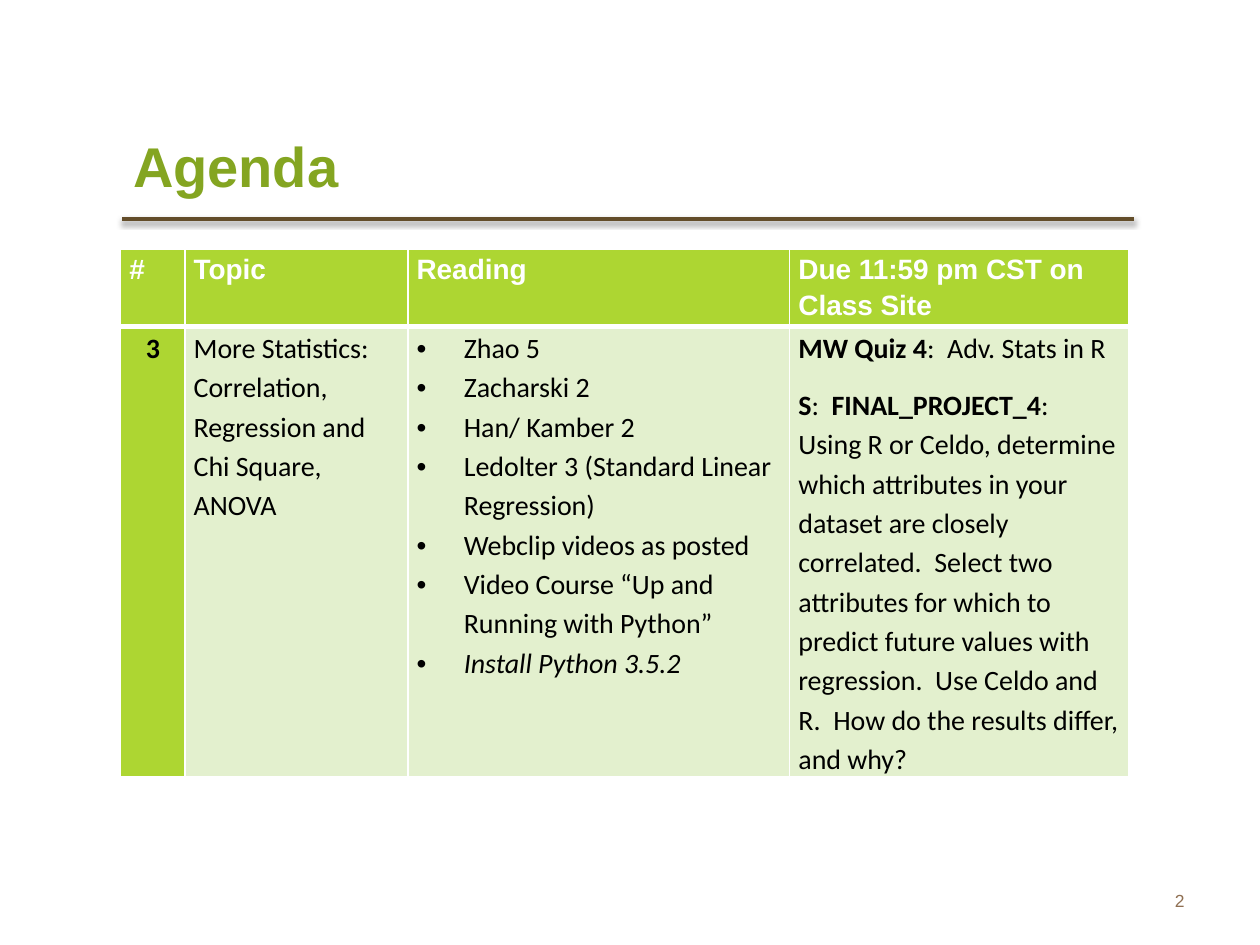
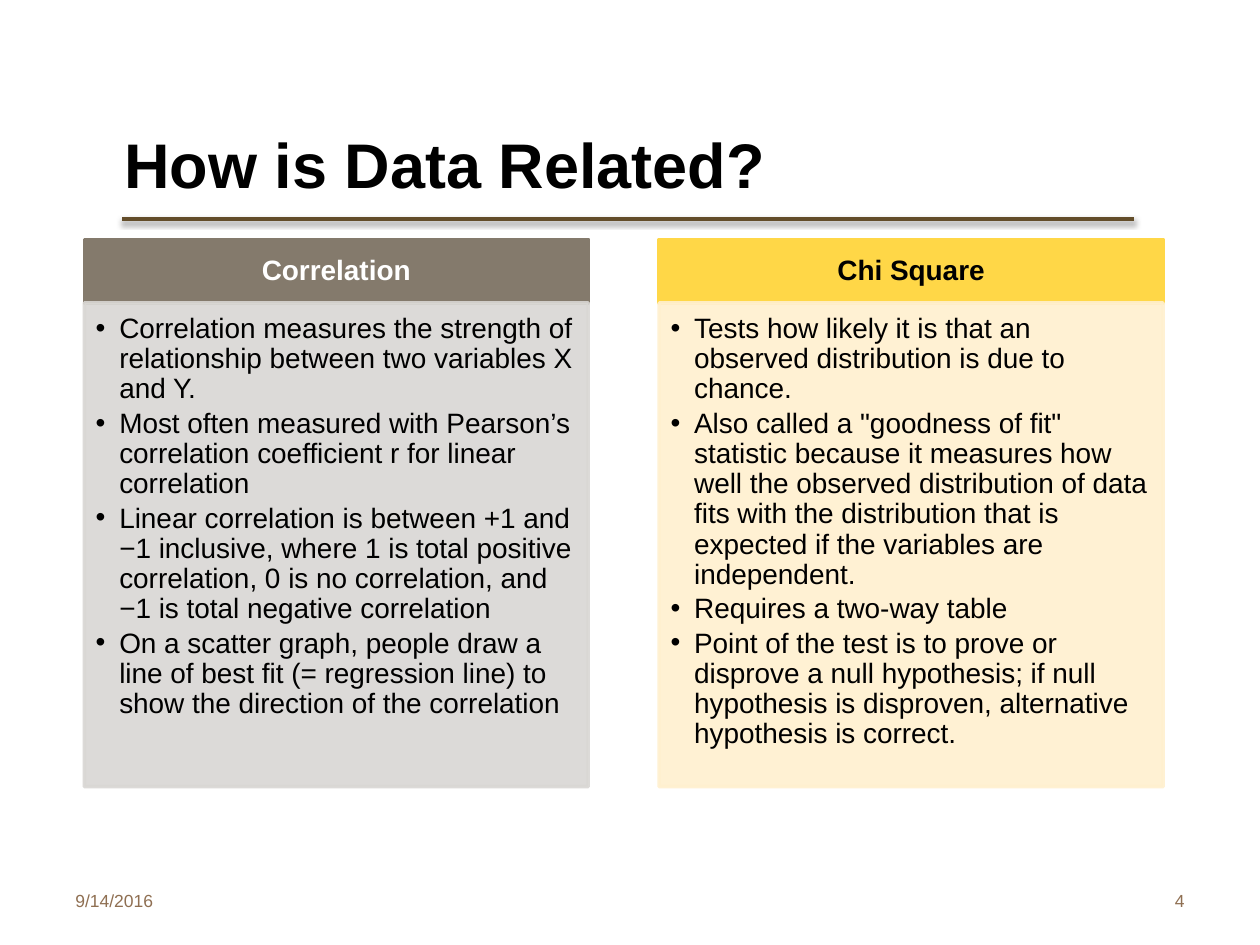
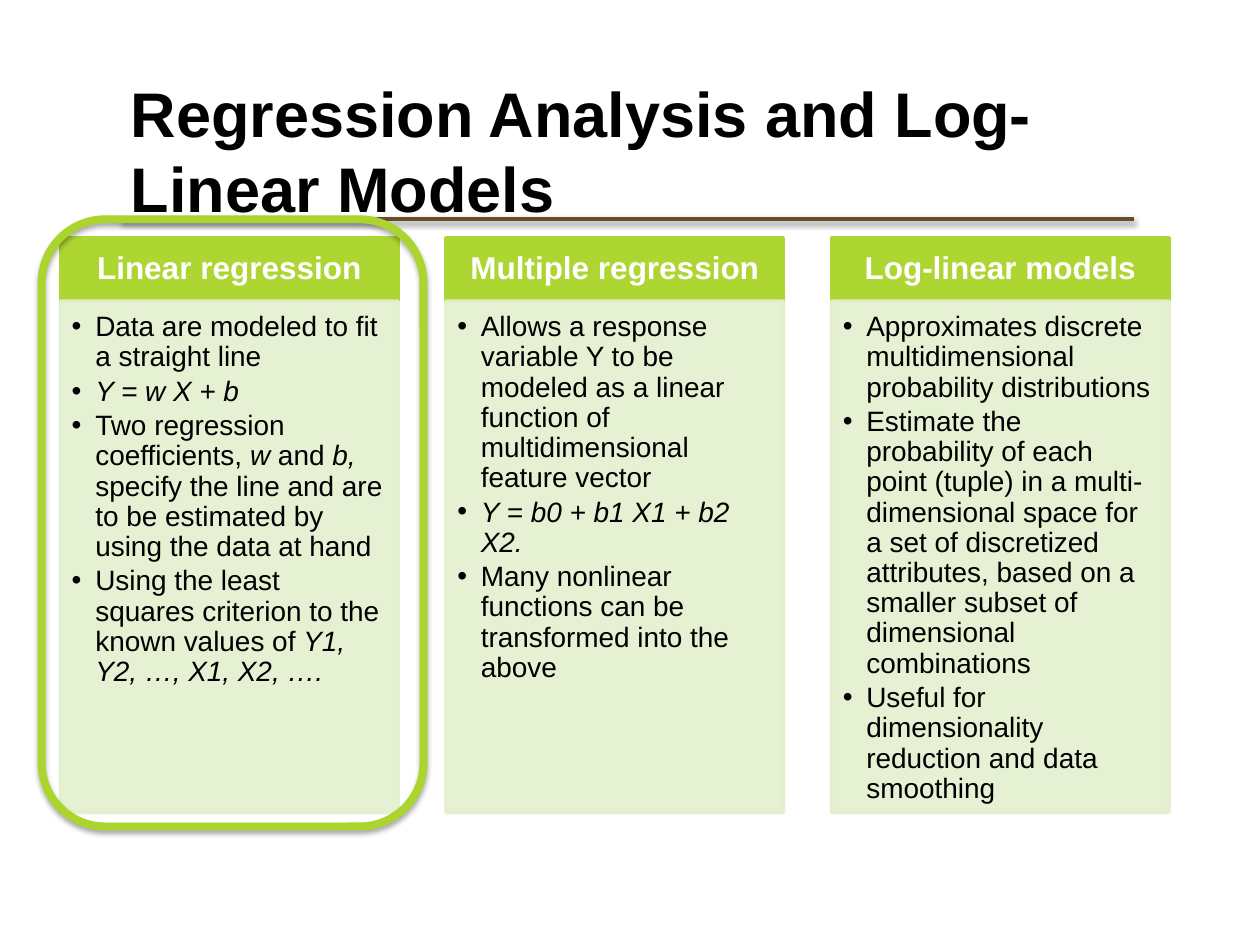
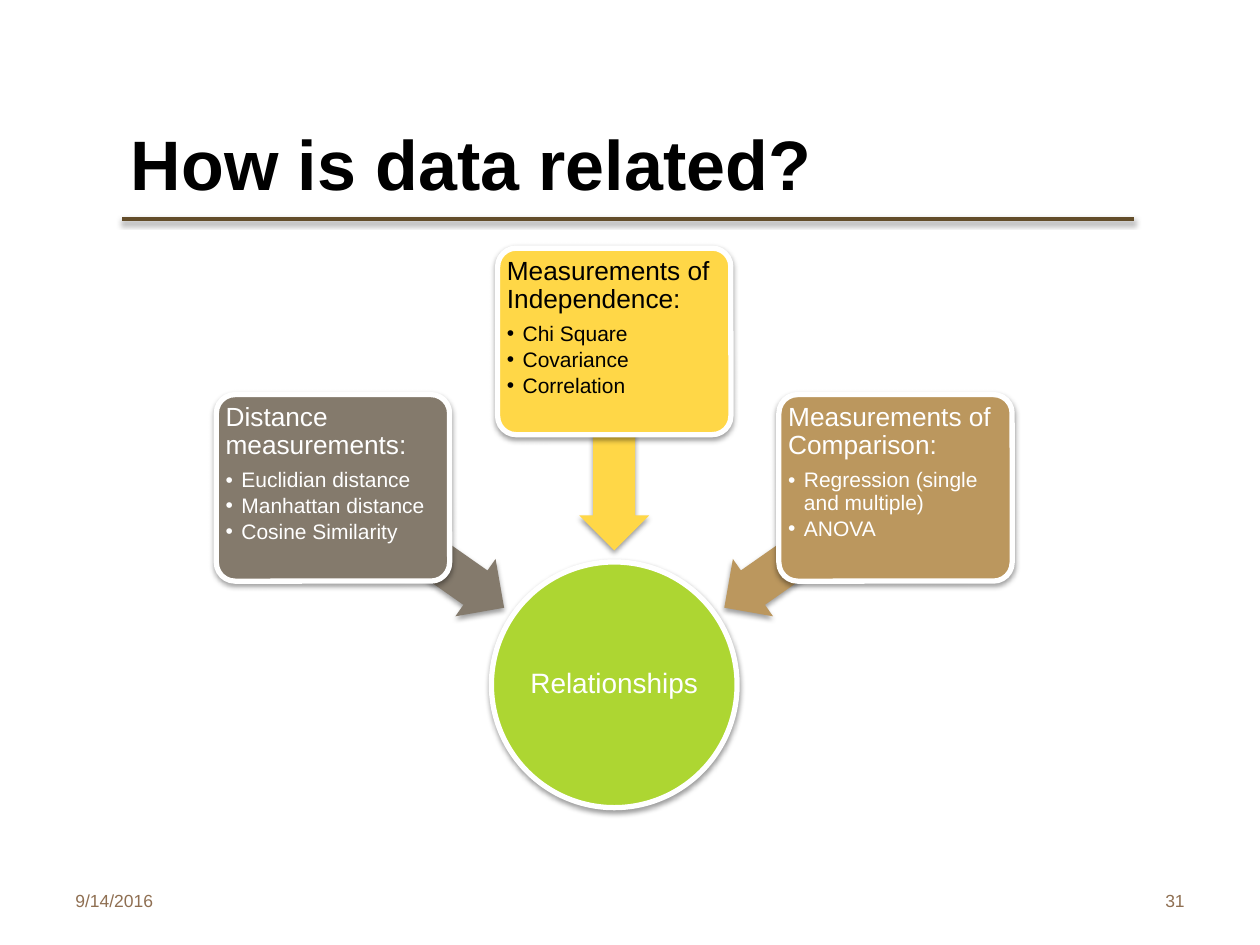
"""Build four slides on how data is related: agenda, measures, regression and summary."""
from math import cos, radians, sin

from lxml.etree import SubElement
from pptx import Presentation
from pptx.dml.color import RGBColor
from pptx.enum.shapes import MSO_CONNECTOR, MSO_SHAPE as SHAPE
from pptx.enum.text import MSO_ANCHOR as ANCHOR, PP_ALIGN as ALIGN
from pptx.oxml.ns import qn
from pptx.util import Pt

WHITE = RGBColor(0xFF, 0xFF, 0xFF)
BLACK = RGBColor(0x00, 0x00, 0x00)
GREEN = RGBColor(0xAD, 0xD6, 0x32)
FRAME_GREEN = RGBColor(0xAB, 0xD5, 0x2D)
TITLE_GREEN = RGBColor(0x84, 0xA5, 0x21)
PALE_GREEN = RGBColor(0xE3, 0xF0, 0xCE)
TAUPE = RGBColor(0x84, 0x7A, 0x6C)
PALE_TAUPE = RGBColor(0xD9, 0xD7, 0xD4)
YELLOW = RGBColor(0xFF, 0xD7, 0x47)
PALE_YELLOW = RGBColor(0xFF, 0xF0, 0xCF)
TAN = RGBColor(0xBB, 0x97, 0x5E)
RULE_BROWN = RGBColor(0x63, 0x4D, 0x2A)
FOOTER_BROWN = RGBColor(0x8F, 0x6F, 0x52)

BOLD, ITALIC = "bold", "italic"
DATE = "9/14/2016"
TEXT_INSETS = (7.2, 3.6, 7.2, 3.6)
CELL_INSETS = (5, 0, 5, 0)

AGENDA_WIDTHS = (36.7, 127.4, 218.2, 193.5)
AGENDA_HEIGHTS = (40, 257)
AGENDA_HEADS = ("#", "Topic", "Reading", "Due 11:59 pm CST on Class Site")
WEEK = "3"
TOPIC = "More Statistics: Correlation, Regression and Chi Square, ANOVA"
READINGS = [
    "Zhao 5",
    "Zacharski 2",
    "Han/ Kamber 2",
    "Ledolter 3 (Standard Linear Regression)",
    "Webclip videos as posted",
    "Video Course “Up and Running with Python”",
    [("Install Python 3.5.2", ITALIC)],
]
DUE = [
    [("MW Quiz 4", BOLD), (":  Adv. Stats in R", None)],
    [
        ("S", BOLD),
        (":  ", None),
        ("FINAL_PROJECT_4", BOLD),
        (":  Using R or Celdo, determine which attributes in your dataset are "
         "closely correlated.  Select two attributes for which to predict future "
         "values with regression.  Use Celdo and R.  How do the results differ, "
         "and why?", None),
    ],
]

MEASURES = [
    ("Correlation", TAUPE, PALE_TAUPE, WHITE, [
        "Correlation measures the strength of relationship between two variables X and Y.",
        "Most often measured with Pearson’s correlation coefficient r for linear correlation",
        "Linear correlation is between +1 and −1 inclusive, where 1 is total positive "
        "correlation, 0 is no correlation, and −1 is total negative correlation",
        "On a scatter graph, people draw a line of best fit (= regression line) to "
        "show the direction of the correlation",
    ]),
    ("Chi Square", YELLOW, PALE_YELLOW, BLACK, [
        "Tests how likely it is that an observed distribution is due to chance.",
        'Also called a "goodness of fit" statistic because it measures how well the '
        "observed distribution of data fits with the distribution that is expected if "
        "the variables are independent.",
        "Requires a two-way table",
        "Point of the test is to prove or disprove a null hypothesis; if null "
        "hypothesis is disproven, alternative hypothesis is correct.",
    ]),
]

MODELS = [
    ("Linear regression", GREEN, PALE_GREEN, WHITE, [
        "Data are modeled to fit a straight line",
        [("Y = w X + b", ITALIC)],
        [
            ("Two regression coefficients, ", None),
            ("w", ITALIC),
            (" and ", None),
            ("b,", ITALIC),
            (" specify the line and are to be estimated by using the data at hand", None),
        ],
        [
            ("Using the least squares criterion to the known values of ", None),
            ("Y1, Y2, …, X1, X2, ….", ITALIC),
        ],
    ]),
    ("Multiple regression", GREEN, PALE_GREEN, WHITE, [
        "Allows a response variable Y to be modeled as a linear function of "
        "multidimensional feature vector",
        [("Y = b0 + b1 X1 + b2 X2.", ITALIC)],
        "Many nonlinear functions can be transformed into the above",
    ]),
    ("Log-linear models", GREEN, PALE_GREEN, WHITE, [
        "Approximates discrete multidimensional probability distributions",
        "Estimate the probability of each point (tuple) in a multi-dimensional space "
        "for a set of discretized attributes, based on a smaller subset of "
        "dimensional combinations",
        "Useful for dimensionality reduction and data smoothing",
    ]),
]

HUB = "Relationships"
SPOKES = [
    (215, "Distance measurements:", TAUPE, WHITE,
     ["Euclidian distance", "Manhattan distance", "Cosine Similarity"]),
    (270, "Measurements of Independence:", YELLOW, BLACK,
     ["Chi Square", "Covariance", "Correlation"]),
    (325, "Measurements of Comparison:", TAN, WHITE,
     ["Regression (single and multiple)", "ANOVA"]),
]


def points(*lengths):
    return [Pt(round(length, 2)) for length in lengths]


def set_frame(frame, insets=TEXT_INSETS, anchor=ANCHOR.TOP):
    frame.word_wrap = True
    frame.vertical_anchor = anchor
    (frame.margin_left, frame.margin_top,
     frame.margin_right, frame.margin_bottom) = points(*insets)


def write(frame, content, size, color, font="Arial", bold=False, align=ALIGN.LEFT,
          spacing=None, after=None, indent=0):
    """Append paragraphs of plain or styled runs, bulleted when indented."""
    for item in content:
        paragraph = frame.paragraphs[-1]
        if paragraph.runs:
            paragraph = frame.add_paragraph()
        paragraph.alignment = align
        if spacing:
            paragraph.line_spacing = spacing
        if after:
            paragraph.space_after = Pt(after)
        if indent:
            properties = paragraph._p.get_or_add_pPr()
            properties.set("marL", str(Pt(indent)))
            properties.set("indent", str(-Pt(indent)))
            SubElement(properties, qn("a:buFont")).set("typeface", "Arial")
            SubElement(properties, qn("a:buChar")).set("char", "•")
        for words, style in [(item, None)] if isinstance(item, str) else item:
            run = paragraph.add_run()
            run.text = words
            run.font.name = font
            run.font.size = Pt(size)
            run.font.color.rgb = color
            run.font.bold = bold or style == BOLD
            run.font.italic = style == ITALIC


def cast_shadow(part, opacity=38, distance=1.6):
    properties = part._element.spPr
    effects = properties.find(qn("a:effectLst"))
    if effects is None:
        effects = SubElement(properties, qn("a:effectLst"))
    shadow = SubElement(effects, qn("a:outerShdw"), blurRad=str(Pt(3.1)),
                        dist=str(Pt(distance)), dir="5400000", rotWithShape="0")
    tint = SubElement(shadow, qn("a:srgbClr"), val="000000")
    SubElement(tint, qn("a:alpha"), val=str(opacity * 1000))


def add_block(slide, preset, place, fill=None, line=None, weight=2, opacity=100):
    block = slide.shapes.add_shape(preset, *points(*place))
    if fill is None:
        block.fill.background()
    else:
        block.fill.solid()
        block.fill.fore_color.rgb = fill
    if line is None:
        block.line.fill.background()
    else:
        block.line.color.rgb = line
        block.line.width = Pt(weight)
    if opacity < 100:
        for tint in block._element.spPr.iter(qn("a:srgbClr")):
            SubElement(tint, qn("a:alpha"), val=str(opacity * 1000))
    block.shadow.inherit = False
    return block


def add_label(slide, place, words, size, color, **style):
    frame = slide.shapes.add_textbox(*points(*place)).text_frame
    set_frame(frame, anchor=ANCHOR.MIDDLE)
    write(frame, [words], size, color, **style)


def start_slide(deck, title, place, size, color=BLACK, date=None, number=None):
    slide = deck.slides.add_slide(deck.slide_layouts[6])
    rule = slide.shapes.add_connector(MSO_CONNECTOR.STRAIGHT, *points(69.8, 125.3, 648, 125.3))
    rule.line.color.rgb = RULE_BROWN
    rule.line.width = Pt(2)
    cast_shadow(rule)
    if date:
        add_label(slide, (36, 500.4, 168, 28.8), date, 10, FOOTER_BROWN)
    if number:
        add_label(slide, (516, 500.4, 168, 28.8), number, 10, FOOTER_BROWN, align=ALIGN.RIGHT)
    add_label(slide, place, title, size, color, bold=True)
    return slide


def style_cell(cell, fill, bottom):
    cell.fill.solid()
    cell.fill.fore_color.rgb = fill
    set_frame(cell.text_frame)
    (cell.margin_left, cell.margin_top,
     cell.margin_right, cell.margin_bottom) = points(*CELL_INSETS)
    properties = cell._tc.get_or_add_tcPr()
    for index, (side, weight) in enumerate([("L", 1), ("R", 1), ("T", 1), ("B", bottom)]):
        border = SubElement(properties, qn(f"a:ln{side}"), w=str(Pt(weight)))
        solid = SubElement(border, qn("a:solidFill"))
        SubElement(solid, qn("a:srgbClr"), val=str(WHITE))
        properties.insert(index, border)


def add_agenda(slide):
    place = (69, 142.6, sum(AGENDA_WIDTHS), sum(AGENDA_HEIGHTS))
    agenda = slide.shapes.add_table(2, len(AGENDA_WIDTHS), *points(*place)).table
    agenda.horz_banding = False
    for row, height in zip(agenda.rows, AGENDA_HEIGHTS):
        row.height = Pt(height)
    body = [
        ([WEEK], {"bold": True, "align": ALIGN.CENTER}),
        ([TOPIC], {"after": 10}),
        (READINGS, {"indent": 27}),
        (DUE, {"after": 10}),
    ]
    for index, (width, head, (content, style)) in enumerate(
            zip(AGENDA_WIDTHS, AGENDA_HEADS, body)):
        agenda.columns[index].width = Pt(width)
        top, below = agenda.cell(0, index), agenda.cell(1, index)
        style_cell(top, GREEN, 3)
        write(top.text_frame, [head], 16, WHITE, bold=True, spacing=1.15)
        style_cell(below, PALE_GREEN if index else GREEN, 1)
        write(below.text_frame, content, 16, BLACK, font="Calibri", spacing=1.15, **style)


def add_columns(slide, columns, left, top, width, step, body_height, head_size):
    head_height = 36.3
    for index, (head, fill, pale, head_color, bullets) in enumerate(columns):
        x = left + index * step
        header = add_block(slide, SHAPE.RECTANGLE, (x, top, width, head_height), fill, fill)
        set_frame(header.text_frame, (9, 5.4, 9, 5.4), ANCHOR.MIDDLE)
        write(header.text_frame, [head], head_size, head_color, bold=True,
              align=ALIGN.CENTER, spacing=0.9)
        body = add_block(slide, SHAPE.RECTANGLE, (x, top + head_height, width, body_height),
                         pale, pale, opacity=90)
        set_frame(body.text_frame, (6.5, 6.5, 8.6, 10))
        write(body.text_frame, bullets, 16, BLACK, spacing=0.9, after=2.4, indent=13.5)


def add_hub(slide):
    center_x, center_y, diameter = 351, 391.3, 140.4

    def around(angle, distance, width, height):
        x = center_x + distance * cos(radians(angle))
        y = center_y + distance * sin(radians(angle))
        return x - width / 2, y - height / 2, width, height

    hub = add_block(slide, SHAPE.OVAL, around(0, 0, diameter, diameter), GREEN, WHITE, 3)
    cast_shadow(hub)
    set_frame(hub.text_frame, (0.8,) * 4, ANCHOR.MIDDLE)
    write(hub.text_frame, [HUB], 16, WHITE, align=ALIGN.CENTER, spacing=0.9)
    for angle, head, fill, color, bullets in SPOKES:
        arrow = add_block(slide, SHAPE.LEFT_ARROW, around(angle, 136.2, 118.8, 40), fill)
        arrow.rotation = angle
        arrow.adjustments[0], arrow.adjustments[1] = 0.6, 0.5
        cast_shadow(arrow)
        box = add_block(slide, SHAPE.ROUNDED_RECTANGLE, around(angle, 196.2, 133.3, 106.6),
                        fill, WHITE, 3)
        box.adjustments[0] = 0.1
        cast_shadow(box)
        set_frame(box.text_frame, (2.2,) * 4)
        write(box.text_frame, [head], 15, color, spacing=0.9, after=5.25)
        write(box.text_frame, bullets, 12, color, spacing=0.9, after=1.8, indent=9)


def main():
    deck = Presentation()
    deck.slide_width, deck.slide_height = Pt(720), Pt(540)

    add_agenda(start_slide(deck, "Agenda", (69, 62, 415.5, 64.8), 32, TITLE_GREEN, number="2"))

    measures = start_slide(deck, "How is Data Related?", (64, 59, 620, 68.4), 36,
                           date=DATE, number="4")
    add_columns(measures, MEASURES, 48.2, 136.8, 288, 328.5, 276.5, 16)

    models = start_slide(deck, "Regression Analysis and Log-Linear Models",
                         (67.7, 51.8, 581.8, 67.7), 36)
    add_columns(models, MODELS, 34.5, 135.8, 193, 220.3, 292.3, 18)
    highlight = add_block(models, SHAPE.ROUNDED_RECTANGLE, (23.8, 125.3, 218.2, 347),
                          line=FRAME_GREEN, weight=4.5)
    cast_shadow(highlight, 35, 1.8)

    add_hub(start_slide(deck, "How is data related?", (67.7, 59, 581.8, 67.7), 40,
                        date=DATE, number="31"))
    deck.save("out.pptx")


if __name__ == "__main__":
    main()
